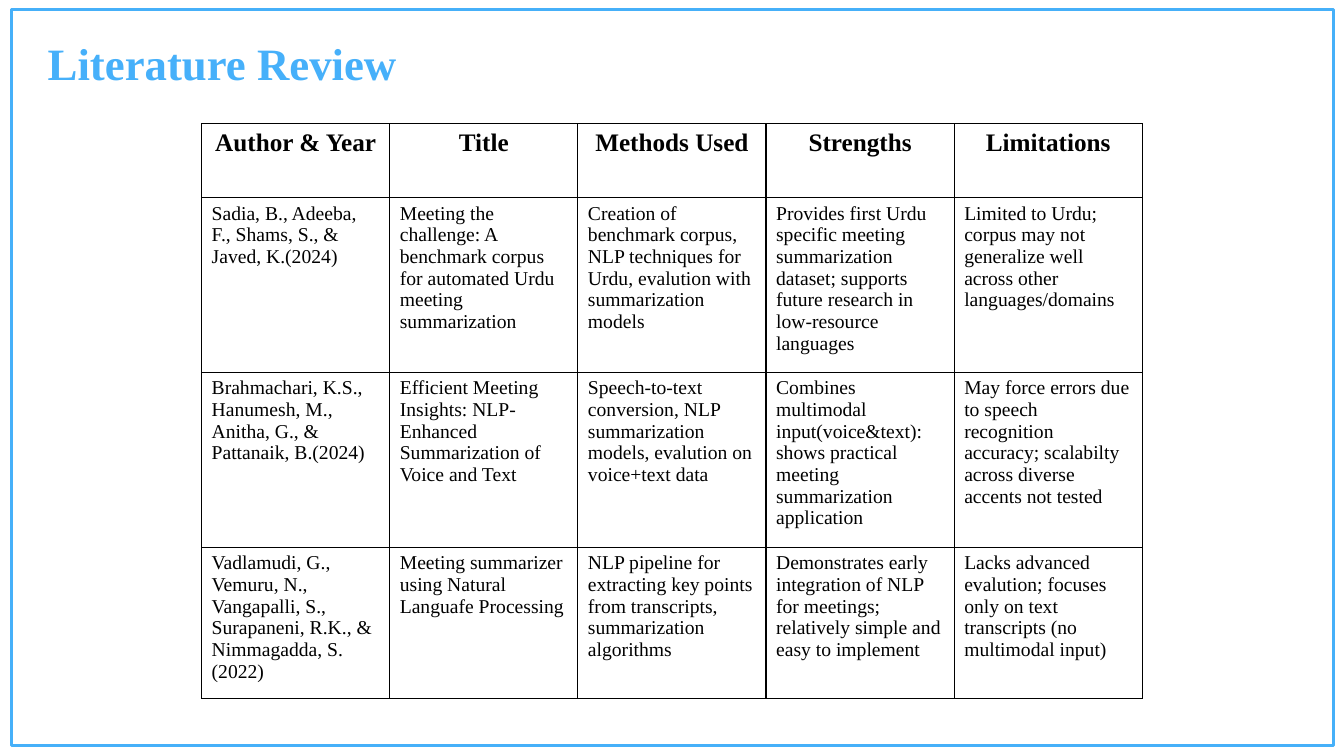
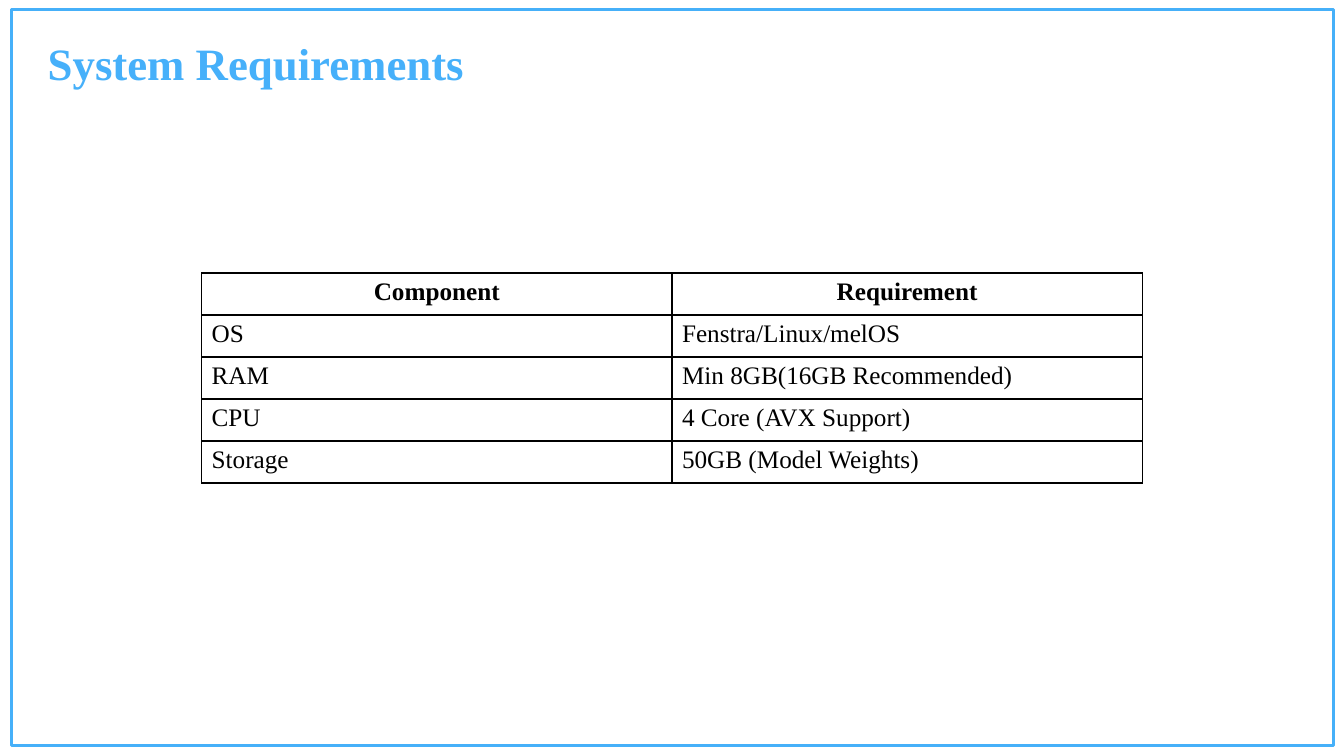
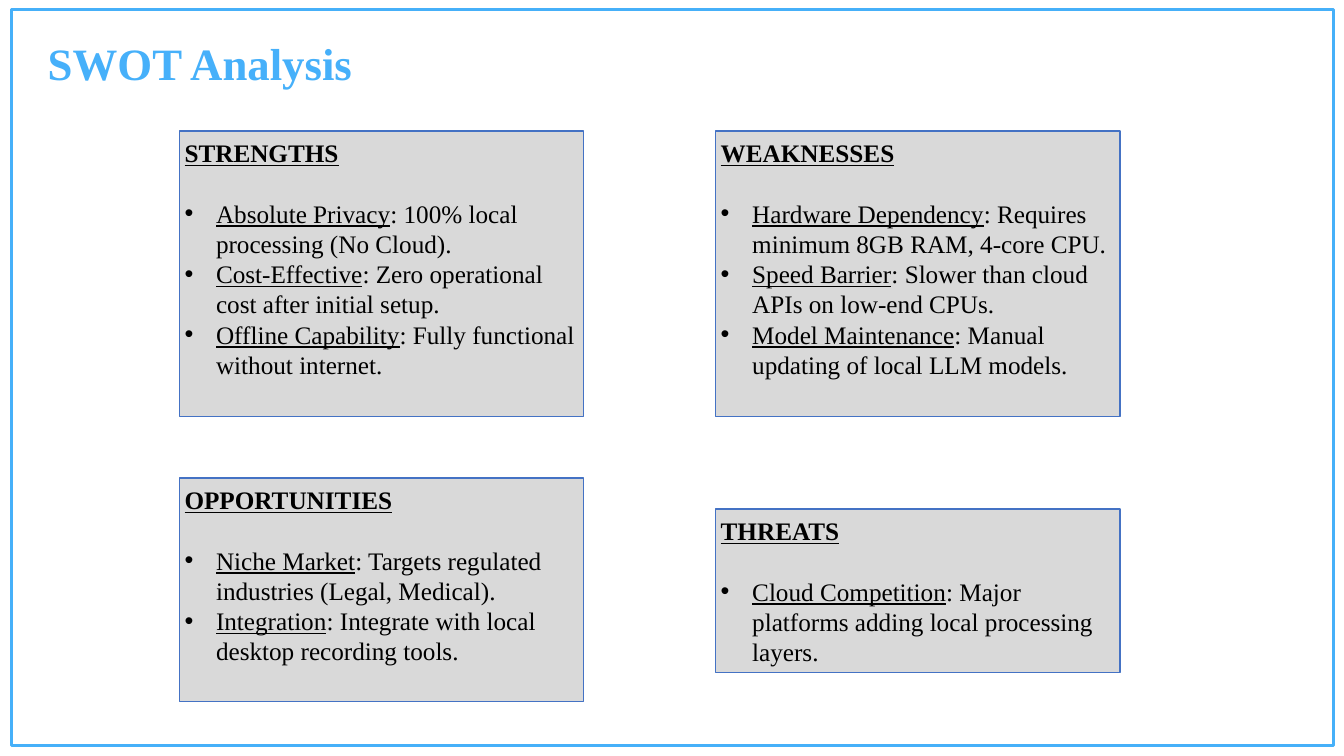
from lxml import etree
from pptx import Presentation
from pptx.dml.color import RGBColor
from pptx.enum.shapes import MSO_SHAPE
from pptx.enum.text import MSO_ANCHOR, PP_ALIGN
from pptx.oxml.ns import qn
from pptx.util import Pt

RECTANGLE = MSO_SHAPE.RECTANGLE
TOP = MSO_ANCHOR.TOP
LEFT, CENTER = PP_ALIGN.LEFT, PP_ALIGN.CENTER

# Shared style
COLORS = {
    "frame": "46B0F9",
    "title": "46B0FA",
    "text": "000000",
    "panel": "D9D9D9",
    "panel_line": "4472C4",
    "grid": "000000",
}
FONT = "Times New Roman"
LINE_FACTOR = 1.2
INSET = 3.6
BULLET_INDENT = 22.5
TABLE_LEFT, TABLE_WIDTH = 144, 672

# Slide content
REVIEW_ROWS = [
    ["Author & Year", "Title", "Methods Used", "Strengths", "Limitations"],
    [
        "Sadia, B., Adeeba, F., Shams, S., & Javed, K.(2024)",
        "Meeting the challenge: A benchmark corpus for automated Urdu meeting summarization",
        "Creation of benchmark corpus, NLP techniques for Urdu, evalution with "
        "summarization models",
        "Provides first Urdu specific meeting summarization dataset; supports future "
        "research in low-resource languages",
        "Limited to Urdu; corpus may not generalize well across other languages/domains",
    ],
    [
        "Brahmachari, K.S., Hanumesh, M., Anitha, G., & Pattanaik, B.(2024)",
        "Efficient Meeting Insights: NLP-Enhanced Summarization of Voice and Text",
        "Speech-to-text conversion, NLP summarization models, evalution on voice+text data",
        "Combines multimodal input(voice&text):\n"
        "shows practical meeting summarization application",
        "May force errors due to speech recognition accuracy; scalabilty across diverse "
        "accents not tested",
    ],
    [
        "Vadlamudi, G., Vemuru, N., Vangapalli, S., Surapaneni, R.K., & Nimmagadda, S. (2022)",
        "Meeting summarizer using Natural Languafe Processing",
        "NLP pipeline for extracting key points from transcripts, summarization algorithms",
        "Demonstrates early integration of NLP for meetings; relatively simple and easy "
        "to implement",
        "Lacks advanced evalution; focuses only on text transcripts (no multimodal input)",
    ],
]
REQUIREMENT_ROWS = [
    ["Component", "Requirement"],
    ["OS", "Fenstra/Linux/melOS"],
    ["RAM", "Min 8GB(16GB Recommended)"],
    ["CPU", "4 Core (AVX Support)"],
    ["Storage", "50GB (Model Weights)"],
]
PANEL_WIDTH = 288.7
LEFT_COLUMN, RIGHT_COLUMN = 128.2, 511.2
# Heading, left, top, height, points
SWOT_PANELS = [
    ("STRENGTHS", LEFT_COLUMN, 93.6, 203.8, [
        ("Absolute Privacy", ": 100% local processing (No Cloud)."),
        ("Cost-Effective", ": Zero operational cost after initial setup."),
        ("Offline Capability", ": Fully functional without internet."),
    ]),
    ("WEAKNESSES", RIGHT_COLUMN, 93.6, 203.8, [
        ("Hardware Dependency", ": Requires minimum 8GB RAM, 4-core CPU."),
        ("Speed Barrier", ": Slower than cloud APIs on low-end CPUs."),
        ("Model Maintenance", ": Manual updating of local LLM models."),
    ]),
    ("OPPORTUNITIES", LEFT_COLUMN, 341.3, 159.8, [
        ("Niche Market", ": Targets regulated industries (Legal, Medical)."),
        ("Integration", ": Integrate with local desktop recording tools."),
    ]),
    ("THREATS", RIGHT_COLUMN, 363.6, 116.6, [
        ("Cloud Competition", ": Major platforms adding local processing layers."),
    ]),
]


def color(name):
    return RGBColor.from_string(COLORS[name])


def add_span(para, text, size, bold=False, underline=False, tint="text"):
    span = para.add_run()
    span.text = text
    font = span.font
    font.name, font.size, font.bold = FONT, Pt(size), bold
    font.underline = underline
    font.color.rgb = color(tint)


def prepare_frame(box, top_inset=INSET):
    frame = box.text_frame
    frame.word_wrap = True
    frame.vertical_anchor = TOP
    frame.margin_left = frame.margin_right = frame.margin_bottom = Pt(INSET)
    frame.margin_top = Pt(top_inset)
    return frame


def add_box(page, left, top, width, height, line, line_width, fill=None):
    box = page.shapes.add_shape(RECTANGLE, Pt(left), Pt(top), Pt(width), Pt(height))
    box.shadow.inherit = False
    if fill:
        box.fill.solid()
        box.fill.fore_color.rgb = color(fill)
    else:
        box.fill.background()
    box.line.color.rgb = color(line)
    box.line.width = Pt(line_width)
    return box


def add_page(deck, title):
    """Add a blank page with the shared frame and title."""
    page = deck.slides.add_slide(deck.slide_layouts[6])
    add_box(page, 8, 6.5, 944.6, 526.3, "frame", 2.25)
    box = page.shapes.add_textbox(Pt(30.5), Pt(21.6), Pt(690), Pt(46))
    para = prepare_frame(box).paragraphs[0]
    para.line_spacing = Pt(32 * LINE_FACTOR)
    add_span(para, title, 32, bold=True, tint="title")
    return page


def add_borders(cell):
    properties = cell._tc.get_or_add_tcPr()
    for position, side in enumerate(("a:lnL", "a:lnR", "a:lnT", "a:lnB")):
        line = etree.Element(qn(side), w=str(Pt(1)))
        fill = etree.SubElement(line, qn("a:solidFill"))
        etree.SubElement(fill, qn("a:srgbClr"), val=COLORS["grid"])
        properties.insert(position, line)


def add_grid(page, top, row_heights, rows, body_size):
    columns = len(rows[0])
    table = page.shapes.add_table(
        len(rows), columns, Pt(TABLE_LEFT), Pt(top), Pt(TABLE_WIDTH), Pt(sum(row_heights))
    ).table
    table.horz_banding = False
    for column in table.columns:
        column.width = Pt(TABLE_WIDTH / columns)
    for row_index, (height, texts) in enumerate(zip(row_heights, rows)):
        table.rows[row_index].height = Pt(height)
        header = row_index == 0
        for column_index, text in enumerate(texts):
            cell = table.cell(row_index, column_index)
            cell.fill.background()
            add_borders(cell)
            frame = cell.text_frame
            for line_index, line in enumerate(text.split("\n")):
                para = frame.add_paragraph() if line_index else frame.paragraphs[0]
                para.alignment = CENTER if header else LEFT
                add_span(para, line, 18 if header else body_size, bold=header)


def add_bullet(para):
    properties = para._p.get_or_add_pPr()
    properties.set("marL", str(Pt(BULLET_INDENT)))
    properties.set("indent", str(-Pt(BULLET_INDENT)))
    etree.SubElement(properties, qn("a:buFont"), typeface="Arial")
    etree.SubElement(properties, qn("a:buChar"), char="•")


def add_panel(page, heading, left, top, height, points):
    box = add_box(page, left, top, PANEL_WIDTH, height, "panel_line", 1, fill="panel")
    frame = prepare_frame(box, top_inset=4.7)
    line_height = Pt(18 * LINE_FACTOR)
    para = frame.paragraphs[0]
    para.alignment = LEFT
    para.line_spacing = para.space_after = line_height
    add_span(para, heading, 18, bold=True, underline=True)
    for term, detail in points:
        para = frame.add_paragraph()
        add_bullet(para)
        para.alignment = LEFT
        para.line_spacing = line_height
        add_span(para, term, 18, underline=True)
        add_span(para, detail, 18)


def main():
    deck = Presentation()
    deck.slide_width, deck.slide_height = Pt(960), Pt(540)

    # Literature table
    page = add_page(deck, "Literature Review")
    add_grid(page, 88.5, [52.6, 125, 125, 108], REVIEW_ROWS, 14)

    # Requirements table
    page = add_page(deck, "System Requirements")
    add_grid(page, 195, [30] * len(REQUIREMENT_ROWS), REQUIREMENT_ROWS, 18)

    # SWOT panels
    page = add_page(deck, "SWOT Analysis")
    for panel in SWOT_PANELS:
        add_panel(page, *panel)

    deck.save("out.pptx")


if __name__ == "__main__":
    main()
